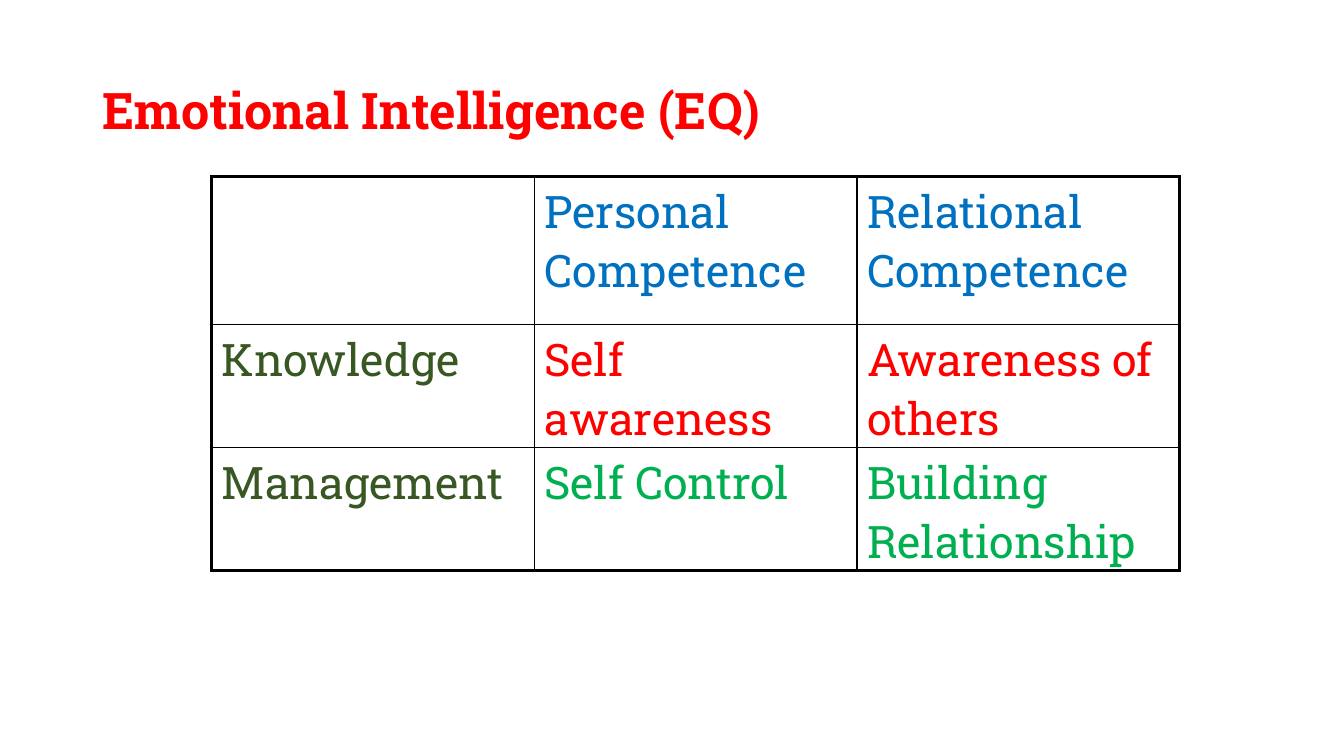
from dataclasses import dataclass

from lxml import etree
from pptx import Presentation
from pptx.dml.color import RGBColor
from pptx.enum.text import MSO_ANCHOR
from pptx.oxml.ns import qn
from pptx.util import Inches, Pt

MIDDLE = MSO_ANCHOR.MIDDLE
BLANK_LAYOUT = 6


@dataclass(frozen=True)
class Theme:
    font: str = "Roboto Slab"
    title_size: int = 36
    cell_size: int = 32
    red: str = "FF0000"
    blue: str = "0070C0"
    olive: str = "385723"
    green: str = "00B050"
    border: str = "000000"
    outer_line: float = 2.25
    inner_line: float = 1


THEME = Theme()

COMPETENCES = [
    [("", THEME.blue), ("Personal Competence", THEME.blue), ("Relational Competence", THEME.blue)],
    [("Knowledge", THEME.olive), ("Self awareness", THEME.red), ("Awareness of others", THEME.red)],
    [("Management", THEME.olive), ("Self Control", THEME.green), ("Building Relationship", THEME.green)],
]
ROW_HEIGHTS = [1.47, 1.22, 1.22]


def style_runs(paragraph, size, color, bold=False):
    for run in paragraph.runs:
        run.font.name = THEME.font
        run.font.size = Pt(size)
        run.font.bold = bold
        run.font.color.rgb = RGBColor.from_string(color)


def add_title(slide, left, top, width, height):
    title = slide.shapes.add_textbox(Inches(left), Inches(top), Inches(width), Inches(height))
    frame = title.text_frame
    frame.word_wrap = True
    frame.vertical_anchor = MIDDLE
    frame.text = "Emotional Intelligence (EQ)"
    heading = frame.paragraphs[0]
    heading.line_spacing = 0.9
    style_runs(heading, THEME.title_size, THEME.red, bold=True)


def set_borders(cell, outer_sides):
    properties = cell._tc.get_or_add_tcPr()
    for side, is_outer in outer_sides.items():
        weight = THEME.outer_line if is_outer else THEME.inner_line
        line = etree.SubElement(properties, qn(f"a:ln{side}"), w=str(Pt(weight)))
        fill = etree.SubElement(line, qn("a:solidFill"))
        etree.SubElement(fill, qn("a:srgbClr"), val=THEME.border)


def add_competence_table(slide, left, top, width):
    row_count, column_count = len(COMPETENCES), len(COMPETENCES[0])
    table = slide.shapes.add_table(
        row_count, column_count,
        Inches(left), Inches(top), Inches(width), Inches(sum(ROW_HEIGHTS)),
    ).table
    table.first_row = False
    table.horz_banding = False
    for column in table.columns:
        column.width = Inches(width / column_count)
    for r, (row, height) in enumerate(zip(COMPETENCES, ROW_HEIGHTS)):
        table.rows[r].height = Inches(height)
        for c, (label, color) in enumerate(row):
            cell = table.cell(r, c)
            set_borders(cell, {
                "L": c == 0,
                "R": c == column_count - 1,
                "T": r == 0,
                "B": r == row_count - 1,
            })
            cell.fill.background()
            if label:
                cell.text_frame.text = label
                style_runs(cell.text_frame.paragraphs[0], THEME.cell_size, color)


def main():
    presentation = Presentation()
    presentation.slide_width = Inches(13.33)
    presentation.slide_height = Inches(7.5)
    slide = presentation.slides.add_slide(presentation.slide_layouts[BLANK_LAYOUT])
    add_title(slide, 0.92, 0.4, 11.5, 1.45)
    add_competence_table(slide, 2.1, 1.75, 9.6)
    presentation.save("out.pptx")


if __name__ == "__main__":
    main()
